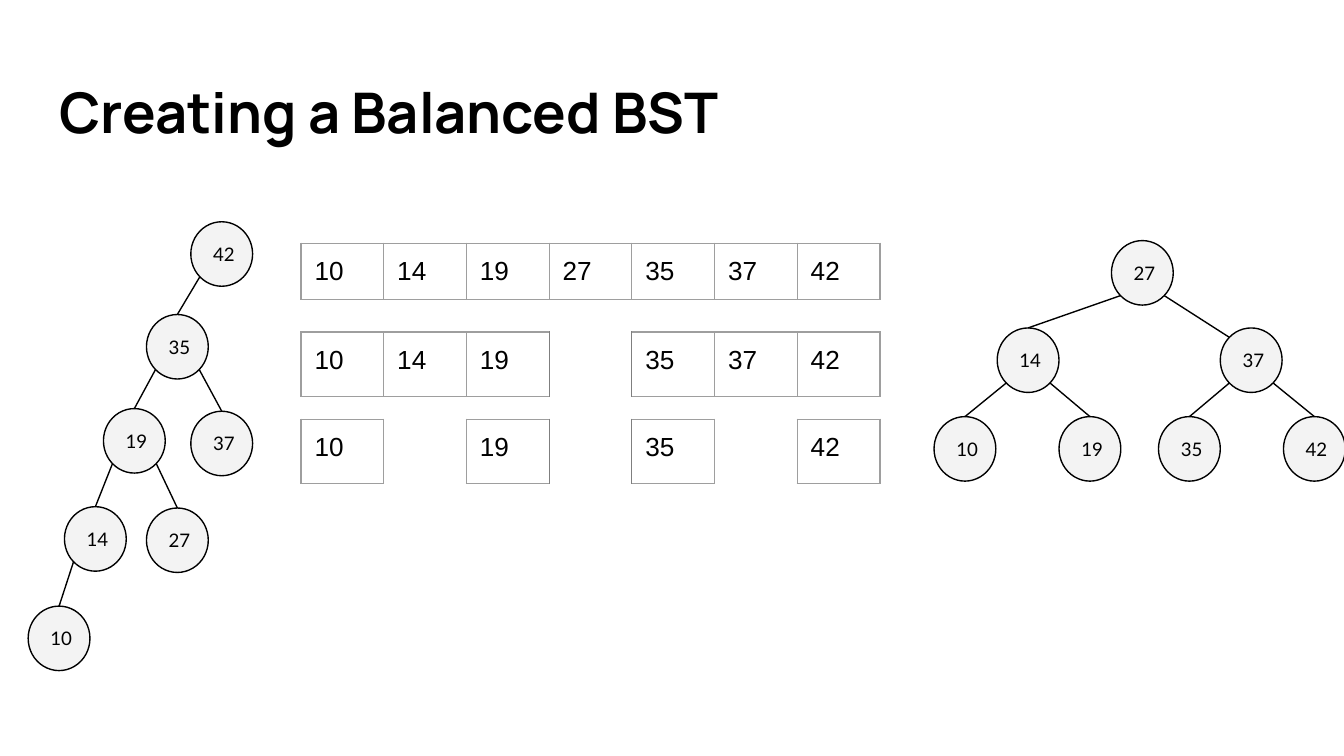
"""Build a slide that turns an unbalanced search tree into a balanced one."""
from math import cos, radians, sin

from lxml import etree
from pptx import Presentation
from pptx.dml.color import RGBColor
from pptx.enum.shapes import MSO_CONNECTOR, MSO_SHAPE
from pptx.enum.text import MSO_ANCHOR, PP_ALIGN
from pptx.oxml.ns import qn
from pptx.util import Inches, Pt

LEFT = PP_ALIGN.LEFT
MIDDLE = MSO_ANCHOR.MIDDLE
ELLIPSE = MSO_SHAPE.OVAL
STRAIGHT = MSO_CONNECTOR.STRAIGHT

THEME = {
    "ink": "000000",
    "paper": "FFFFFF",
    "node": "F3F3F3",
    "grid": "9E9E9E",
    "split": "7F7F7F",
    "line": Pt(0.75),
    "title": {"name": "Manrope", "size": Pt(30), "bold": True},
    "cell": {"name": "Arial", "size": Pt(14), "bold": False},
    "label": {"name": "Lato", "size": Pt(10), "bold": False},
}
PAD = Inches(0.1)
CELL_PAD = {f"margin_{side}": PAD for side in ("left", "top", "right", "bottom")}
NODE_FRAME = {"margin_left": PAD, "margin_top": 0, "margin_right": 0,
              "margin_bottom": 0, "vertical_anchor": MIDDLE, "word_wrap": True}
NODE_W, NODE_H = 0.46, 0.48
FRAME = Inches(3.28)
TOP, LOWER_LEFT, LOWER_RIGHT, UPPER_LEFT = -90, 135, 45, -135

VALUES = [10, 14, 19, 27, 35, 37, 42]
COL_W = 4.31 / len(VALUES)
ARRAYS = [
    (1.81, 0.42, VALUES),
    (2.47, 0.43, [10, 14, 19, None, 35, 37, 42]),
    (3.12, 0.43, [10, None, 19, None, 35, None, 42]),
]
TREES = [
    ({42: (1.42, 1.65), 35: (1.09, 2.34), 37: (1.42, 3.06), 19: (0.77, 3.04),
      14: (0.48, 3.77), 27: (1.09, 3.78), 10: (0.21, 4.51)},
     [(42, 35, TOP), (35, 19, TOP), (19, 14, TOP),
      (19, 27, TOP), (35, 37, TOP), (14, 10, TOP)]),
    ({42: (9.55, 3.1), 35: (8.62, 3.1), 37: (9.08, 2.44), 19: (7.88, 3.1),
      14: (7.42, 2.44), 27: (8.27, 1.79), 10: (6.95, 3.1)},
     [(27, 14, TOP), (27, 37, UPPER_LEFT), (14, 10, TOP),
      (14, 19, TOP), (37, 35, TOP), (37, 42, TOP)]),
]


def write(tf, text, style):
    """Put one left-aligned run of the given style in a text frame."""
    p = tf.paragraphs[0]
    p.alignment = LEFT
    r = p.add_run()
    r.text = str(text)
    for name, value in THEME[style].items():
        setattr(r.font, name, value)
    r.font.color.rgb = RGBColor.from_string(THEME["ink"])


def rim(pos, angle):
    """Return the point on a node's outline at an angle in degrees."""
    x = pos[0] + NODE_W / 2 * (1 + cos(radians(angle)))
    y = pos[1] + NODE_H / 2 * (1 + sin(radians(angle)))
    return Inches(x), Inches(y)


prs = Presentation()
prs.slide_width, prs.slide_height = Inches(10), Inches(5.625)
s = prs.slides.add_slide(prs.slide_layouts[5])

title = s.shapes.title
title.left, title.top = Inches(0.34), Inches(0.49)
title.width, title.height = Inches(9.32), Inches(0.68)
for name, value in {**CELL_PAD, "vertical_anchor": MIDDLE}.items():
    setattr(title.text_frame, name, value)
write(title.text_frame, "Creating a Balanced BST", "title")

for top, height, values in ARRAYS:
    count = len(values)
    frame = s.shapes.add_table(1, count, Inches(2.24), Inches(top), FRAME, FRAME)
    table = frame.table
    table.first_row = table.horz_banding = False
    table.rows[0].height = Inches(height)
    middle = count // 2
    edges = [THEME["grid"]] * (count + 1)
    if values[middle] is None:
        edges[middle] = edges[middle + 1] = THEME["split"]
    for i, value in enumerate(values):
        table.columns[i].width = Inches(COL_W)
        cell = table.cell(0, i)
        for name, pad in CELL_PAD.items():
            setattr(cell, name, pad)
        rule = THEME["paper"] if value is None else THEME["grid"]
        borders = {"L": edges[i], "R": edges[i + 1], "T": rule, "B": rule}
        for side, color in borders.items():
            ln = etree.SubElement(cell._tc.get_or_add_tcPr(), qn(f"a:ln{side}"),
                                  w=str(THEME["line"]))
            fill = etree.SubElement(ln, qn("a:solidFill"))
            etree.SubElement(fill, qn("a:srgbClr"), val=color)
        cell.fill.background()
        if value is None:
            p = cell.text_frame.paragraphs[0]
            end = etree.SubElement(p._p, qn("a:endParaRPr"))
            etree.SubElement(end, qn("a:latin"), typeface=THEME["cell"]["name"])
        else:
            write(cell.text_frame, value, "cell")
    frame.width = frame.height = FRAME

for nodes, links in TREES:
    for value, (x, y) in nodes.items():
        sp = s.shapes.add_shape(ELLIPSE, Inches(x), Inches(y),
                                Inches(NODE_W), Inches(NODE_H))
        sp.shadow.inherit = False
        sp.fill.solid()
        sp.fill.fore_color.rgb = RGBColor.from_string(THEME["node"])
        sp.line.color.rgb = RGBColor.from_string(THEME["ink"])
        sp.line.width = THEME["line"]
        for name, setting in NODE_FRAME.items():
            setattr(sp.text_frame, name, setting)
        write(sp.text_frame, value, "label")
    for parent, child, end in links:
        start = LOWER_LEFT if child < parent else LOWER_RIGHT
        link = s.shapes.add_connector(STRAIGHT, *rim(nodes[parent], start),
                                      *rim(nodes[child], end))
        link.line.color.rgb = RGBColor.from_string(THEME["ink"])
        link.line.width = THEME["line"]
        etree.SubElement(link._element.spPr, qn("a:effectLst"))

prs.save("out.pptx")
